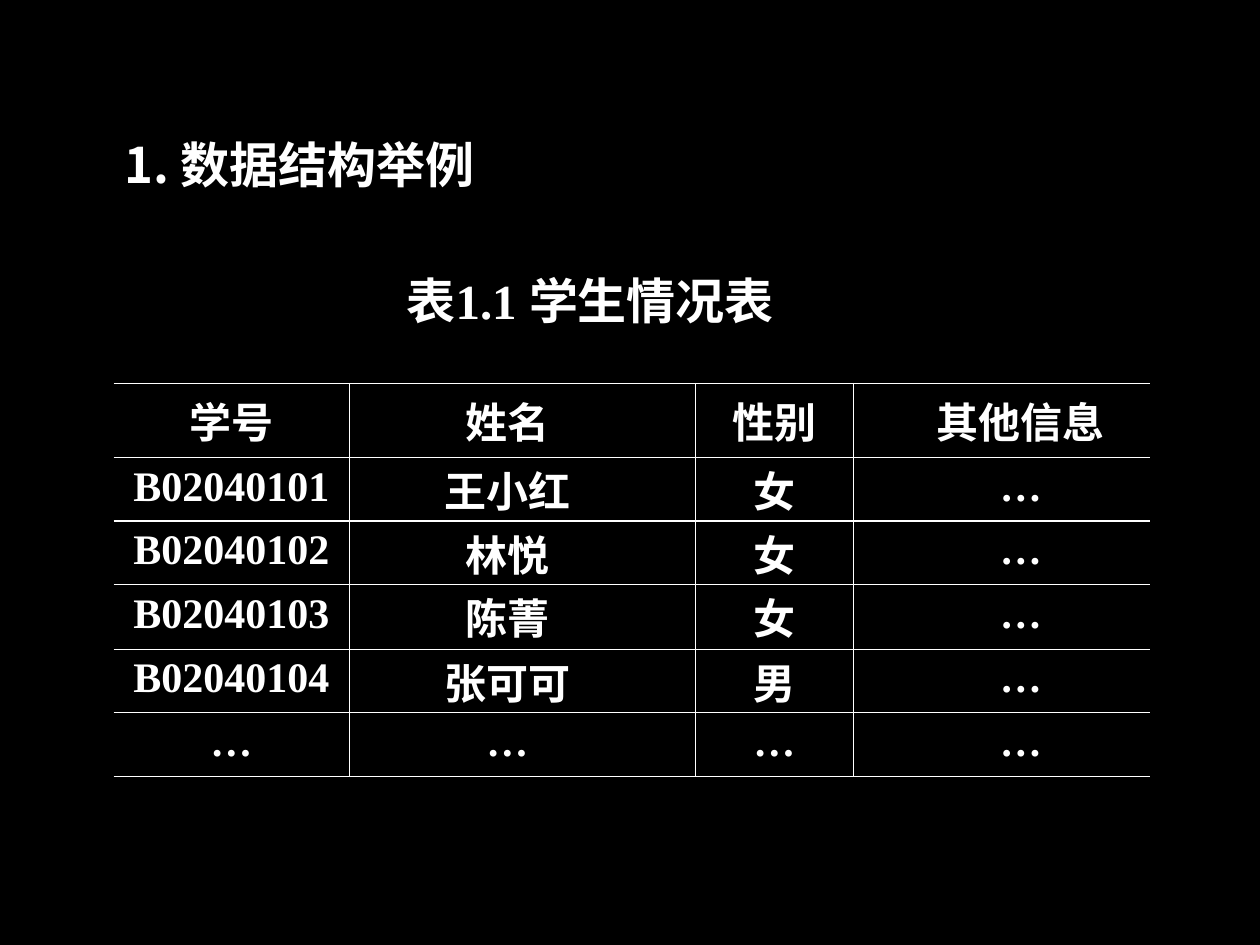
import pptx
import pptx.dml.color
import pptx.enum.text
import pptx.oxml
import pptx.oxml.ns
import pptx.util
from pptx.util import Pt

COLORS = {"background": "000000", "ink": "FFFFFF"}
CJK_FONT = "Noto Sans CJK SC"
SERIF_FONT = "Times New Roman"
CENTER = pptx.enum.text.PP_ALIGN.CENTER

HEADERS = ["学号", "姓名", "性别", "其他信息"]
STUDENTS = [
    ["B02040101", "王小红", "女", "…"],
    ["B02040102", "林悦", "女", "…"],
    ["B02040103", "陈菁", "女", "…"],
    ["B02040104", "张可可", "男", "…"],
    ["…", "…", "…", "…"],
]
# Narrow spacer columns stand between the text columns
COLUMN_WIDTHS = [134.5, 17.5, 146, 34.5, 90, 22.5, 147]
ROW_HEIGHTS = [42.5, 36.25, 36.25, 37, 36.25, 36.25]
TEXT_COLUMNS = [0, 2, 4, 6]
RULED_COLUMNS = [0, 3, 4]  # columns with a vertical rule on their right


def rgb(name):
    return pptx.dml.color.RGBColor.from_string(COLORS[name])


def format_paragraph(paragraph, size, font_name, alignment=None):
    paragraph.alignment = alignment
    for run in paragraph.runs:
        run.font.size = Pt(size)
        run.font.bold = True
        run.font.name = font_name
        run.font.color.rgb = rgb("ink")
        east_asian = pptx.oxml.parse_xml(
            f'<a:ea {pptx.oxml.ns.nsdecls("a")} typeface="{CJK_FONT}"/>')
        run.font._element.find(pptx.oxml.ns.qn("a:latin")).addnext(east_asian)


def place_text(shape, box, text, font_name, alignment, wrap):
    shape.left, shape.top, shape.width, shape.height = map(Pt, box)
    frame = shape.text_frame
    frame.text = text
    frame.word_wrap = wrap
    frame.vertical_anchor = pptx.enum.text.MSO_ANCHOR.TOP
    frame.auto_size = pptx.enum.text.MSO_AUTO_SIZE.SHAPE_TO_FIT_TEXT
    format_paragraph(frame.paragraphs[0], 28, font_name, alignment)


def add_border(cell, side, width):
    """Add one cell border; None as width hides it."""
    if width is None:
        line, content = 0, "<a:noFill/>"
    else:
        line = Pt(width)
        content = f'<a:solidFill><a:srgbClr val="{COLORS["ink"]}"/></a:solidFill>'
    properties = cell._tc.get_or_add_tcPr()
    properties.append(pptx.oxml.parse_xml(
        f'<a:ln{side} {pptx.oxml.ns.nsdecls("a")} w="{line}">{content}</a:ln{side}>'))


def add_borders(cell, row, column):
    def rule_width(ruled_column):
        if ruled_column not in RULED_COLUMNS:
            return None
        return 0.75 if ruled_column == 0 else 0.45

    last_row = len(ROW_HEIGHTS) - 1
    add_border(cell, "L", rule_width(column - 1))
    add_border(cell, "R", rule_width(column))
    add_border(cell, "T", 0.45 if row == 0 else 0.75)
    add_border(cell, "B", 0.45 if row == last_row else 0.75)


def fill_cell(cell, text, is_header):
    cell.text = text
    paragraph = cell.text_frame.paragraphs[0]
    format_paragraph(paragraph, 24, "Arial" if is_header else SERIF_FONT, CENTER)
    # Chinese lines are taller than the body rows
    if not is_header and not text.isascii() and text != "…":
        paragraph.line_spacing = Pt(32)
        cell.margin_bottom = 0


def add_student_table(slide):
    frame = slide.shapes.add_table(
        len(ROW_HEIGHTS), len(COLUMN_WIDTHS), Pt(65), Pt(219),
        Pt(sum(COLUMN_WIDTHS)), Pt(sum(ROW_HEIGHTS)))
    table = frame.table
    table.first_row = table.horz_banding = False
    for column, width in zip(table.columns, COLUMN_WIDTHS):
        column.width = Pt(width)
    for row, height in zip(table.rows, ROW_HEIGHTS):
        row.height = Pt(height)

    for row in range(len(ROW_HEIGHTS)):
        for column in range(len(COLUMN_WIDTHS)):
            cell = table.cell(row, column)
            add_borders(cell, row, column)
            cell.fill.background()
    for row, texts in enumerate([HEADERS] + STUDENTS):
        for column, text in zip(TEXT_COLUMNS, texts):
            fill_cell(table.cell(row, column), text, row == 0)


def main():
    presentation = pptx.Presentation()
    presentation.slide_width, presentation.slide_height = Pt(720), Pt(540)
    slide = presentation.slides.add_slide(presentation.slide_layouts[5])
    slide.background.fill.solid()
    slide.background.fill.fore_color.rgb = rgb("background")

    # Heading
    place_text(slide.shapes.title, (64, 73.5, 253.5, 41), "1. 数据结构举例",
               CJK_FONT, pptx.enum.text.PP_ALIGN.LEFT, False)

    # Table caption
    caption = slide.shapes.add_textbox(0, 0, 0, 0)
    place_text(caption, (218, 151, 238.5, 41), "表1.1 学生情况表",
               SERIF_FONT, CENTER, True)

    # Student table
    add_student_table(slide)
    presentation.save("out.pptx")


if __name__ == "__main__":
    main()
